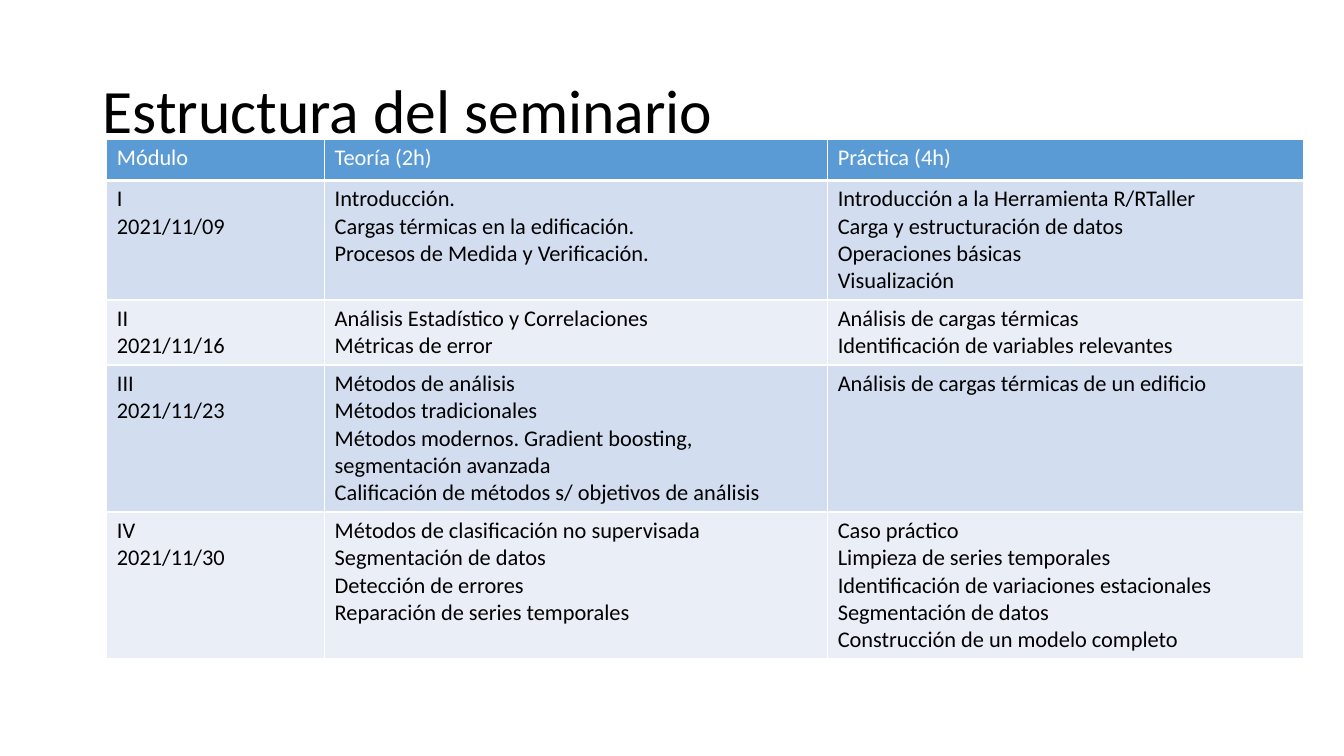
from dataclasses import dataclass

from lxml.etree import SubElement
from pptx import Presentation
from pptx.dml.color import RGBColor
from pptx.enum.text import MSO_ANCHOR, MSO_AUTO_SIZE, PP_ALIGN
from pptx.oxml.ns import qn
from pptx.slide import Slide
from pptx.table import _Cell
from pptx.text.text import _Paragraph
from pptx.util import Emu, Pt

EMU_PER_PX = 9144  # 100 px to the inch


@dataclass(frozen=True)
class Theme:
    font: str = "Calibri"
    title_size: int = 44
    table_size: int = 16
    ink: str = "000000"
    white: str = "FFFFFF"
    header: str = "5B9BD5"
    bands: tuple[str, str] = ("D2DEEF", "EAEFF7")
    rule: int = 1
    header_rule: int = 3


@dataclass(frozen=True)
class Module:
    label: list[str]
    theory: list[str]
    practice: list[str]


THEME = Theme()
TITLE = "Estructura del seminario"
COLUMN_WIDTHS = (216, 499, 472)
ROW_HEIGHT = 41
TABLE_HEIGHT = 507

HEADING = Module(["Módulo"], ["Teoría (2h)"], ["Práctica (4h)"])
MODULES = [
    Module(
        ["I", "2021/11/09"],
        ["Introducción.", "Cargas térmicas en la edificación.",
         "Procesos de Medida y Verificación."],
        ["Introducción a la Herramienta R/RTaller", "Carga y estructuración de datos",
         "Operaciones básicas", "Visualización"],
    ),
    Module(
        ["II", "2021/11/16"],
        ["Análisis Estadístico y Correlaciones", "Métricas de error"],
        ["Análisis de cargas térmicas", "Identificación de variables relevantes"],
    ),
    Module(
        ["III", "2021/11/23"],
        ["Métodos de análisis", "Métodos tradicionales",
         "Métodos modernos. Gradient boosting, segmentación avanzada",
         "Calificación de métodos s/ objetivos de análisis"],
        ["Análisis de cargas térmicas de un edificio"],
    ),
    Module(
        ["IV", "2021/11/30"],
        ["Métodos de clasificación no supervisada", "Segmentación de datos",
         "Detección de errores", "Reparación de series temporales"],
        ["Caso práctico", "Limpieza de series temporales",
         "Identificación de variaciones estacionales", "Segmentación de datos",
         "Construcción de un modelo completo"],
    ),
]


def px(length: int) -> Emu:
    return Emu(length * EMU_PER_PX)


def apply(target: object, values: dict[str, object]) -> None:
    for name, value in values.items():
        setattr(target, name, value)


def style_paragraph(paragraph: _Paragraph, size: int, color: str) -> None:
    for run in paragraph.runs:
        apply(run.font, {"name": THEME.font, "size": Pt(size), "bold": False})
        run.font.color.rgb = RGBColor.from_string(color)


def add_borders(cell: _Cell, bottom: int) -> None:
    properties = cell._tc.get_or_add_tcPr()
    widths = {"L": THEME.rule, "R": THEME.rule, "T": THEME.rule, "B": bottom}
    for side, width in widths.items():
        line = SubElement(properties, qn(f"a:ln{side}"), w=str(Pt(width)))
        fill = SubElement(line, qn("a:solidFill"))
        SubElement(fill, qn("a:srgbClr"), val=THEME.white)


def fill_cell(cell: _Cell, lines: list[str], fill: str, ink: str, bottom: int) -> None:
    cell.text = "\n".join(lines)
    for paragraph in cell.text_frame.paragraphs:
        style_paragraph(paragraph, THEME.table_size, ink)
    add_borders(cell, bottom)
    cell.fill.solid()
    cell.fill.fore_color.rgb = RGBColor.from_string(fill)


def add_title(slide: Slide) -> None:
    title = slide.shapes.title
    apply(title, {"left": px(92), "top": px(40), "width": px(1150), "height": px(145)})
    title.text = TITLE
    apply(title.text_frame, {"vertical_anchor": MSO_ANCHOR.MIDDLE, "word_wrap": True,
                             "auto_size": MSO_AUTO_SIZE.NONE})
    heading = title.text_frame.paragraphs[0]
    apply(heading, {"alignment": PP_ALIGN.LEFT, "line_spacing": 0.9})
    style_paragraph(heading, THEME.title_size, THEME.ink)


def add_schedule(slide: Slide) -> None:
    modules = [HEADING, *MODULES]
    frame = slide.shapes.add_table(len(modules), len(COLUMN_WIDTHS), px(106), px(138),
                                   px(sum(COLUMN_WIDTHS)), px(TABLE_HEIGHT))
    schedule = frame.table
    for column, width in zip(schedule.columns, COLUMN_WIDTHS):
        column.width = px(width)
    for index, (row, module) in enumerate(zip(schedule.rows, modules)):
        row.height = px(ROW_HEIGHT)  # rows grow to fit their text
        if module is HEADING:
            look = (THEME.header, THEME.white, THEME.header_rule)
        else:
            look = (THEME.bands[(index - 1) % 2], THEME.ink, THEME.rule)
        for cell, lines in zip(row.cells, (module.label, module.theory, module.practice)):
            fill_cell(cell, lines, *look)
    frame.height = px(TABLE_HEIGHT)


def main() -> None:
    presentation = Presentation()
    apply(presentation, {"slide_width": px(1333), "slide_height": px(750)})
    # Title-only layout
    slide = presentation.slides.add_slide(presentation.slide_layouts[5])
    add_title(slide)
    add_schedule(slide)
    presentation.save("out.pptx")


if __name__ == "__main__":
    main()
